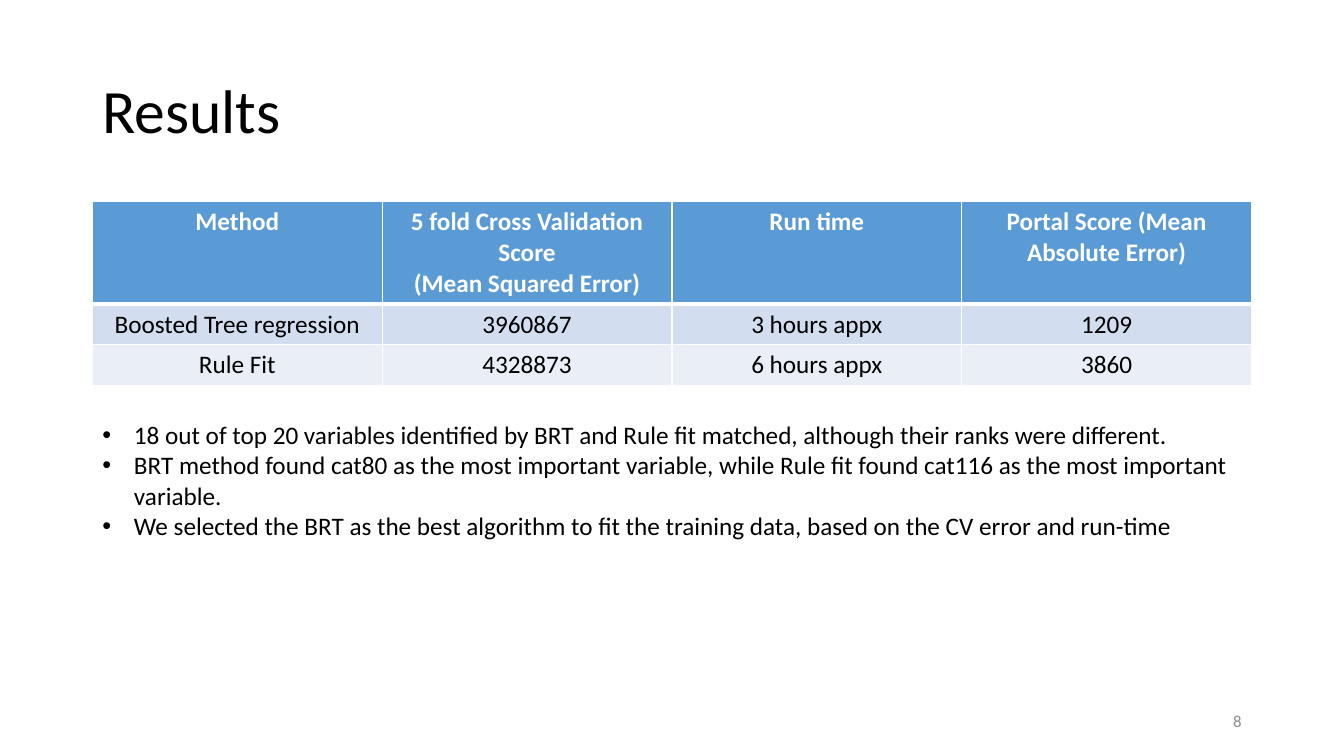
"""Build the results slide: method comparison table and conclusions."""
from lxml import etree
from pptx import Presentation
from pptx.dml.color import RGBColor
from pptx.enum.text import MSO_ANCHOR, MSO_AUTO_SIZE, PP_ALIGN
from pptx.oxml.ns import qn
from pptx.util import Pt

LEFT, CENTER, RIGHT = PP_ALIGN.LEFT, PP_ALIGN.CENTER, PP_ALIGN.RIGHT
MIDDLE, TOP = MSO_ANCHOR.MIDDLE, MSO_ANCHOR.TOP
NO_FIT = MSO_AUTO_SIZE.NONE

TITLE = "Results"
ROWS = [
    ["Method", "5 fold Cross Validation Score\n(Mean Squared Error)",
     "Run time", "Portal Score (Mean Absolute Error)"],
    ["Boosted Tree regression", "3960867", "3 hours appx", "1209"],
    ["Rule Fit", "4328873", "6 hours appx", "3860"],
]
FINDINGS = [
    "18 out of top 20 variables identified by BRT and Rule fit matched, "
    "although their ranks were different.",
    "BRT method found cat80 as the most important variable, while Rule fit "
    "found cat116 as the most important variable.",
    "We selected the BRT as the best algorithm to fit the training data, "
    "based on the CV error and run-time",
]
PAGE = "8"
ROW_FILLS = ["5B9BD5", "D2DEEF", "EAEFF7"]
ROW_HEIGHTS = [72.4, 29.2, 29.2]
MARGIN, WIDTH = 66, 828
INDENT = 22.5


def rgb(value):
    return RGBColor.from_string(value)


def write(tf, text, size=18, color="000000", bold=False, align=LEFT,
          anchor=TOP, spacing=1.0, bullet=False):
    tf.word_wrap = True
    tf.vertical_anchor = anchor
    tf.text = text
    for p in tf.paragraphs:
        p.alignment = align
        p.line_spacing = spacing
        p.space_before = Pt(0)
        for r in p.runs:
            r.font.name = "Calibri"
            r.font.size = Pt(size)
            r.font.bold = bold
            r.font.color.rgb = rgb(color)
        if bullet:
            pPr = p._p.get_or_add_pPr()
            pPr.set("marL", str(Pt(INDENT)))
            pPr.set("indent", str(-Pt(INDENT)))
            etree.SubElement(pPr, qn("a:buFont"), typeface="Arial")
            etree.SubElement(pPr, qn("a:buChar"), char="•")


def place(sp, left, top, width, height):
    sp.left, sp.top, sp.width, sp.height = map(Pt, (left, top, width, height))


def set_borders(cell, widths):
    tcPr = cell._tc.get_or_add_tcPr()
    for i, (side, width) in enumerate(widths.items()):
        ln = etree.Element(qn("a:ln" + side), w=str(Pt(width)))
        fill = etree.SubElement(ln, qn("a:solidFill"))
        etree.SubElement(fill, qn("a:srgbClr"), val="FFFFFF")
        tcPr.insert(i, ln)


def add_results(s):
    sp = s.shapes.add_table(len(ROWS), len(ROWS[0]), Pt(MARGIN), Pt(144),
                            Pt(WIDTH), Pt(sum(ROW_HEIGHTS)))
    table = sp.table
    for i, row in enumerate(ROWS):
        header = i == 0
        table.rows[i].height = Pt(ROW_HEIGHTS[i])
        for j, text in enumerate(row):
            cell = table.cell(i, j)
            cell.fill.solid()
            cell.fill.fore_color.rgb = rgb(ROW_FILLS[i])
            set_borders(cell, {"L": 1, "R": 1, "T": 3 if i == 1 else 1,
                               "B": 3 if header else 1})
            write(cell.text_frame, text, bold=header, align=CENTER,
                  color="FFFFFF" if header else "000000")


def main():
    prs = Presentation()
    prs.slide_width, prs.slide_height = Pt(960), Pt(540)
    s = prs.slides.add_slide(prs.slide_layouts[1])

    title = s.shapes.title
    place(title, MARGIN, 28.8, WIDTH, 104.4)
    title.text_frame.auto_size = NO_FIT
    write(title.text_frame, TITLE, size=44, anchor=MIDDLE, spacing=0.9)

    add_results(s)

    body = s.placeholders[1]
    place(body, MARGIN, 296, WIDTH, 116.6)
    body.text_frame.auto_size = NO_FIT
    write(body.text_frame, "\n".join(FINDINGS), bullet=True)

    number = s.shapes.add_textbox(Pt(678), Pt(500.5), Pt(216), Pt(28.8))
    write(number.text_frame, PAGE, size=12, color="8C8C8C", align=RIGHT,
          anchor=MIDDLE)
    prs.save("out.pptx")


if __name__ == "__main__":
    main()
